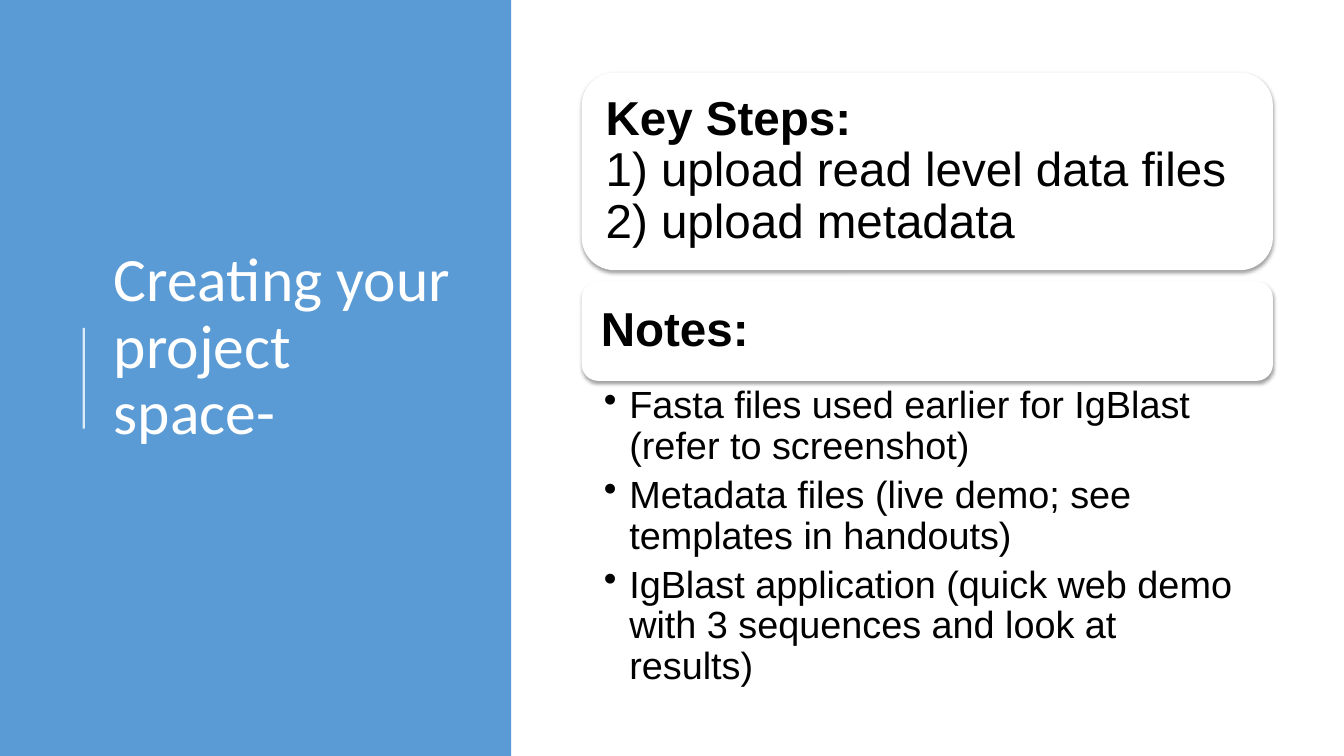
from lxml import etree
from pptx import Presentation
from pptx.dml.color import RGBColor
from pptx.enum.shapes import MSO_CONNECTOR, MSO_SHAPE
from pptx.enum.text import MSO_ANCHOR, PP_ALIGN
from pptx.oxml.ns import qn
from pptx.util import Cm, Pt

RECTANGLE = MSO_SHAPE.RECTANGLE
ROUNDED = MSO_SHAPE.ROUNDED_RECTANGLE
STRAIGHT = MSO_CONNECTOR.STRAIGHT
TOP, MIDDLE = MSO_ANCHOR.TOP, MSO_ANCHOR.MIDDLE
LEFT = PP_ALIGN.LEFT


def rgb(value):
    return RGBColor.from_string(value)


def write(frame, paragraphs, size, font, color, anchor, insets):
    frame.word_wrap = True
    frame.vertical_anchor = anchor
    frame.margin_left, frame.margin_top, frame.margin_right, frame.margin_bottom = map(Cm, insets)
    frame.text = "\n".join(paragraphs)
    for paragraph in frame.paragraphs:
        paragraph.alignment = LEFT
        paragraph.line_spacing = 0.9
        for run in paragraph.runs:
            run.font.size = Pt(size)
            run.font.name = font
            run.font.color.rgb = rgb(color)


prs = Presentation()
prs.slide_width, prs.slide_height = Cm(33.87), Cm(19.05)
slide = prs.slides.add_slide(prs.slide_layouts[6])
shapes = slide.shapes

side_panel = shapes.add_shape(RECTANGLE, 0, 0, Cm(12.88), prs.slide_height)
side_panel.shadow.inherit = False
side_panel.fill.solid()
side_panel.fill.fore_color.rgb = rgb("5B9BD5")
side_panel.line.fill.background()

accent = shapes.add_connector(STRAIGHT, Cm(2.11), Cm(10.8), Cm(2.11), Cm(8.26))
accent.line.width = Pt(1.5)
accent.line.color.rgb = rgb("FFFFFF")
accent_color = next(accent.line._ln.iter(qn("a:srgbClr")))
etree.SubElement(accent_color, qn("a:alpha"), val="80000")
etree.SubElement(accent._element.spPr, qn("a:effectLst"))

title = shapes.add_textbox(Cm(2.62), Cm(1.98), Cm(9.37), Cm(15.29))
write(title.text_frame, ["Creating your project space-"], 44, "Calibri", "FFFFFF",
      MIDDLE, (0.25, 0.13, 0.25, 1.83))

cards = [
    (1.83, 4.98, "Key Steps:\v1) upload read level data files\v2) upload metadata"),
    (7.09, 2.51, "Notes:"),
]
for top, height, wording in cards:
    card = shapes.add_shape(ROUNDED, Cm(14.66), Cm(top), Cm(17.42), Cm(height))
    card.fill.solid()
    card.fill.fore_color.rgb = rgb("FFFFFF")
    card.line.fill.background()
    card.shadow.inherit = False
    effects = card._element.spPr.find(qn("a:effectLst"))
    shadow = etree.SubElement(effects, qn("a:outerShdw"), blurRad=str(Pt(3.1)),
                              dist=str(Pt(1.6)), dir="5400000", rotWithShape="0")
    shadow_color = etree.SubElement(shadow, qn("a:srgbClr"), val="000000")
    etree.SubElement(shadow_color, qn("a:alpha"), val="38000")
    write(card.text_frame, [wording], 34, "Arial", "000000", MIDDLE, (0.36,) * 4)
    card.text_frame.paragraphs[0].runs[0].font.bold = True

notes = [
    "Fasta files used earlier for IgBlast (refer to screenshot)",
    "Metadata files (live demo; see templates in handouts)",
    "IgBlast application (quick web demo with 3 sequences and look at results)",
]
note_list = shapes.add_textbox(Cm(14.66), Cm(9.6), Cm(17.42), Cm(7.62))
write(note_list.text_frame, notes, 27, "Arial", "000000", TOP, (0.56, 0.13, 0.66, 0.13))
for note in note_list.text_frame.paragraphs:
    note.space_after = Pt(5.6)
    properties = note._p.get_or_add_pPr()
    properties.set("marL", str(Cm(0.64)))
    properties.set("indent", str(Cm(-0.64)))
    etree.SubElement(properties, qn("a:buChar"), char="•")

prs.save("out.pptx")
